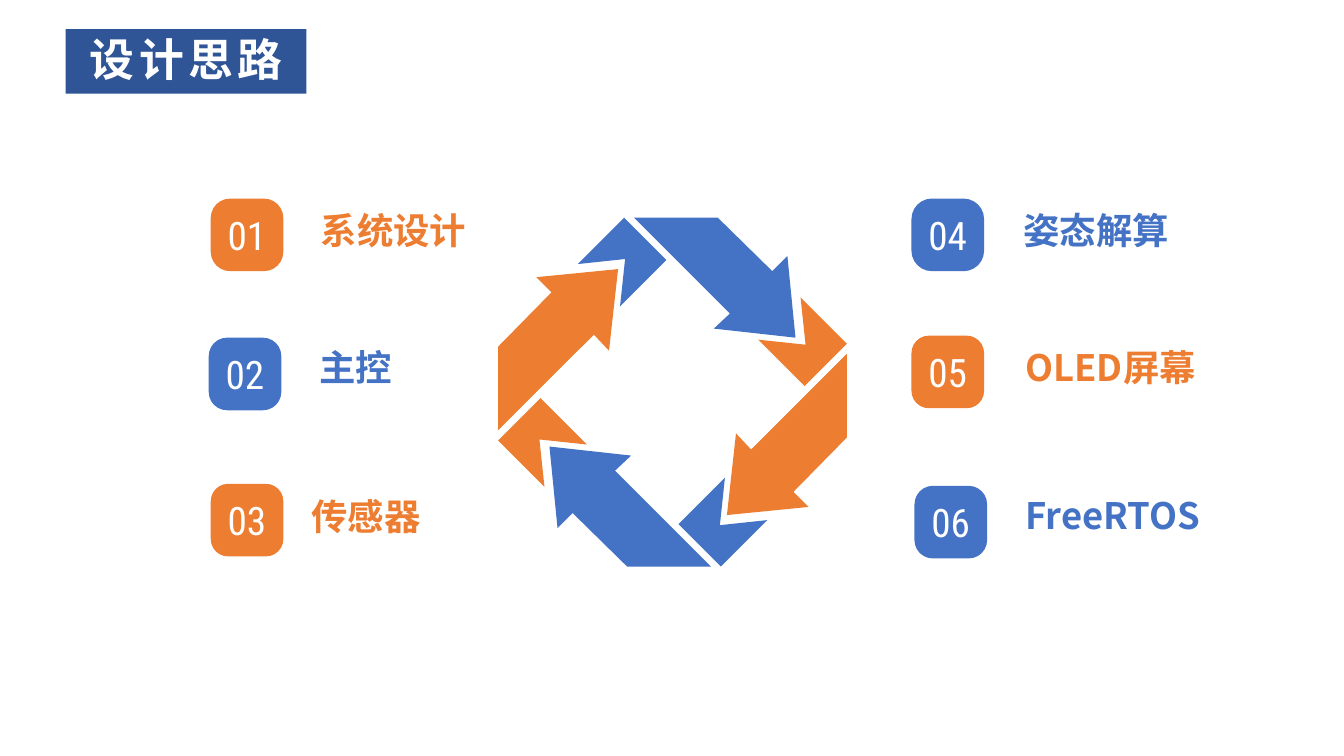
import pptx
import pptx.util
import pptx.dml.color
import pptx.enum.shapes
import pptx.enum.text
import pptx.oxml.ns
import lxml.etree

PX = 9144
COLORS = {"blue": "4472C4", "orange": "ED7D31", "navy": "2F5597", "white": "FFFFFF"}
ALIGN = pptx.enum.text.PP_ALIGN
ANCHOR = pptx.enum.text.MSO_ANCHOR
CJK_FONT = "Noto Sans CJK SC"
NUMBER_FORMAT = {"size": pptx.util.Pt(28), "name": "Roboto Condensed", "bold": False}
LABEL_FORMAT = {"size": pptx.util.Pt(26), "name": CJK_FONT, "bold": True}
TITLE_FORMAT = {"size": pptx.util.Pt(32), "name": CJK_FONT, "bold": True}


def paint(shape, color):
    shape.shadow.inherit = False
    shape.fill.solid()
    shape.fill.fore_color.rgb = pptx.dml.color.RGBColor.from_string(COLORS[color])
    shape.line.fill.background()


def write(shape, text, font_format, color, align, anchor, line_spacing):
    frame = shape.text_frame
    frame_format = {
        "margin_left": 0, "margin_top": 0, "margin_right": 0, "margin_bottom": 0,
        "word_wrap": True, "vertical_anchor": anchor,
        "auto_size": pptx.enum.text.MSO_AUTO_SIZE.NONE,
    }
    for name, value in frame_format.items():
        setattr(frame, name, value)
    paragraph = frame.paragraphs[0]
    paragraph.alignment = align
    paragraph.line_spacing = line_spacing
    run = paragraph.add_run()
    run.text = text
    for name, value in font_format.items():
        setattr(run.font, name, value)
    run.font.color.rgb = pptx.dml.color.RGBColor.from_string(COLORS[color])
    properties = run.font._element
    east_asian = lxml.etree.SubElement(properties, pptx.oxml.ns.qn("a:ea"))
    east_asian.set("typeface", font_format["name"])
    return properties


presentation = pptx.Presentation()
presentation.slide_width = 1333 * PX
presentation.slide_height = 750 * PX
slide = presentation.slides.add_slide(presentation.slide_layouts[5])
shapes = slide.shapes

title = shapes.title
title_place = {"left": 65, "top": 29, "width": 239, "height": 64}
for name, value in title_place.items():
    setattr(title, name, value * PX)
paint(title, "navy")
title_properties = write(title, "设计思路", TITLE_FORMAT, "white", ALIGN.CENTER, ANCHOR.MIDDLE, 0.9)
title_properties.set("spc", "300")

CENTER_X, CENTER_Y = 667, 389
ARROW = [(781, 254), (789, 335), (708, 326), (724, 311), (629, 216), (712, 216), (766, 269)]
TAIL = [(573, 262), (619, 216), (661, 258), (615, 304), (620, 257)]
for outline in (TAIL, ARROW):
    points = outline
    for color in ("blue", "orange", "blue", "orange"):
        builder = shapes.build_freeform(*points[0], scale=PX)
        builder.add_line_segments(points[1:], close=True)
        paint(builder.convert_to_shape(), color)
        points = [(CENTER_X + CENTER_Y - y, CENTER_Y - CENTER_X + x) for x, y in points]

BADGE_SIZE, LABEL_HEIGHT = 72, 44
topics = [
    ("系统设计", "orange", 209, 197, 0.267, 318, 211, 152),
    ("主控", "blue", 207, 335, 0.253, 317, 347, 80),
    ("传感器", "orange", 209, 480, 0.239, 309, 495, 114),
    ("姿态解算", "blue", 904, 197, 0.282, 1015, 211, 181),
    ("OLED屏幕", "orange", 904, 333, 0.239, 1017, 347, 192),
    ("FreeRTOS", "blue", 907, 482, 0.253, 1017, 494, 181),
]
for number, topic in enumerate(topics, start=1):
    text, color, badge_x, badge_y, rounding, label_x, label_y, label_width = topic
    badge = shapes.add_shape(
        pptx.enum.shapes.MSO_SHAPE.ROUNDED_RECTANGLE,
        badge_x * PX, badge_y * PX, BADGE_SIZE * PX, BADGE_SIZE * PX)
    badge.adjustments[0] = rounding
    paint(badge, color)
    write(badge, f"{number:02}", NUMBER_FORMAT, "white", ALIGN.CENTER, ANCHOR.MIDDLE, 1.0)
    label = shapes.add_textbox(label_x * PX, label_y * PX, label_width * PX, LABEL_HEIGHT * PX)
    write(label, text, LABEL_FORMAT, color, ALIGN.LEFT, ANCHOR.TOP, 0.9)

presentation.save("out.pptx")
